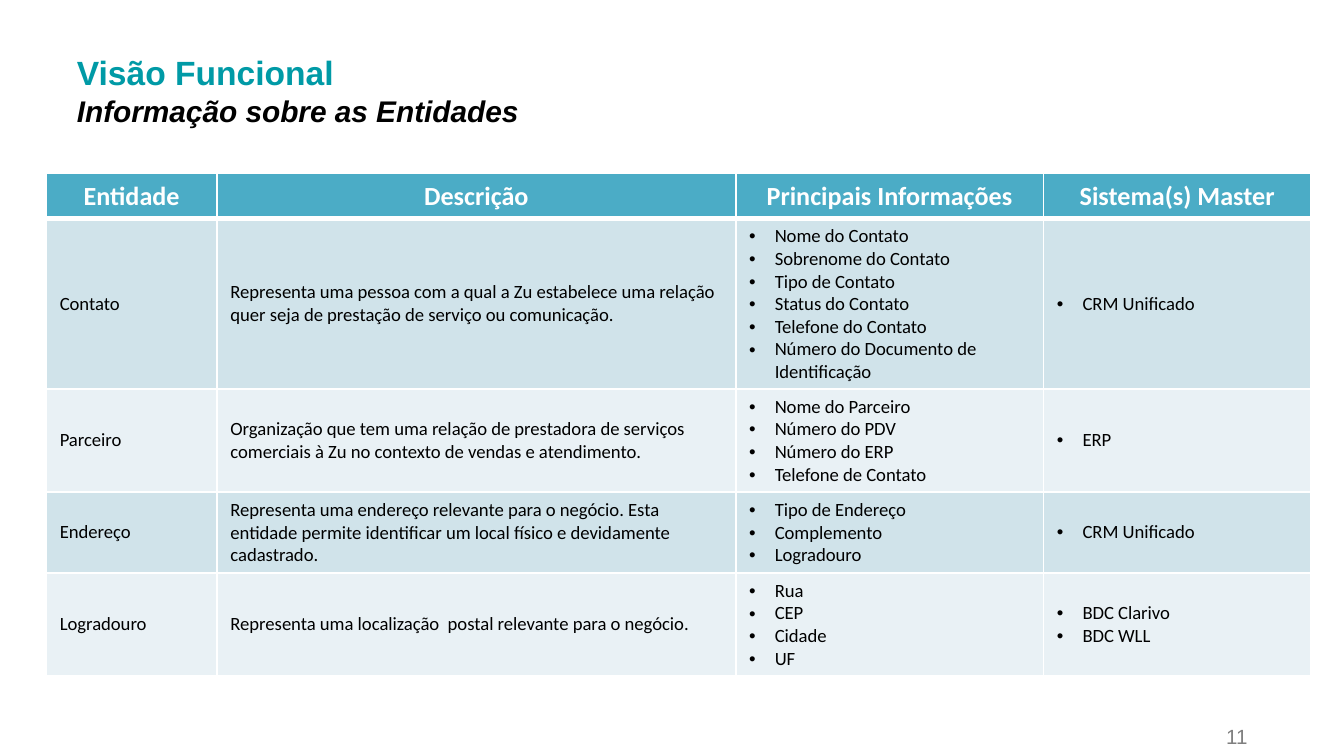
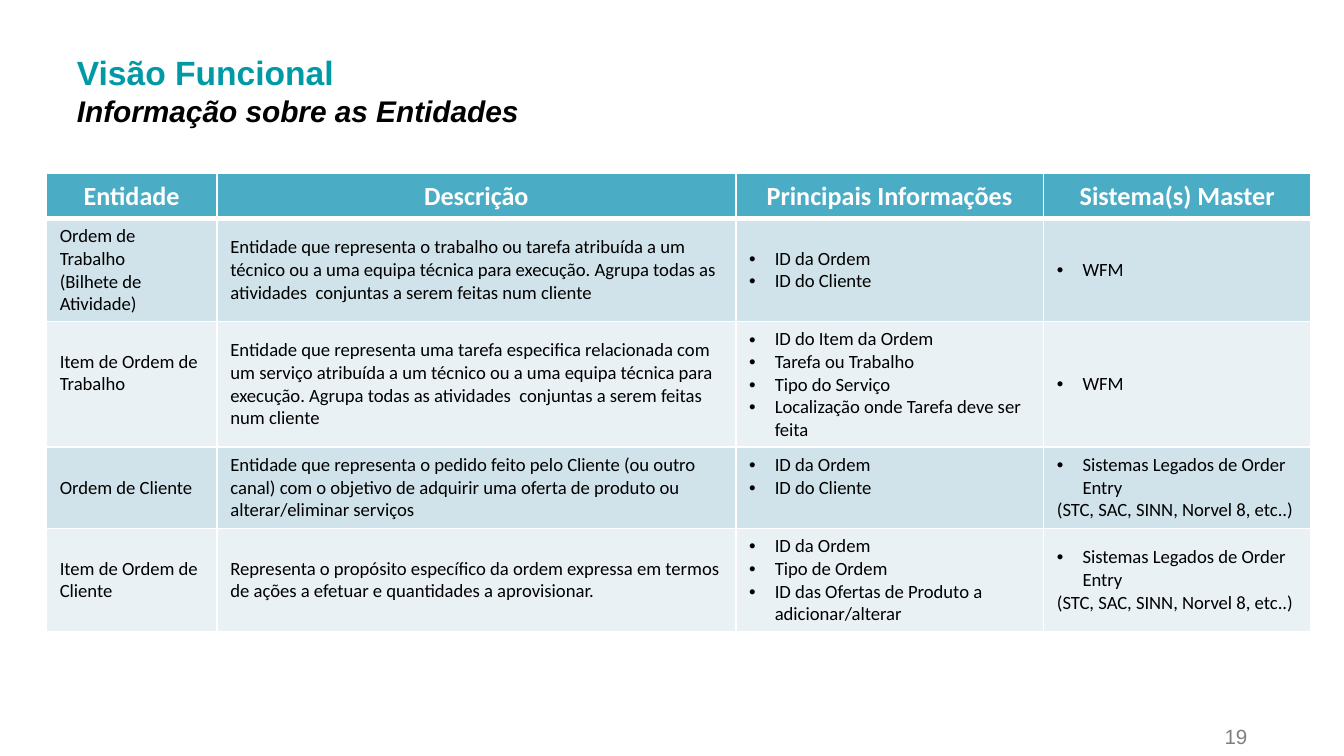
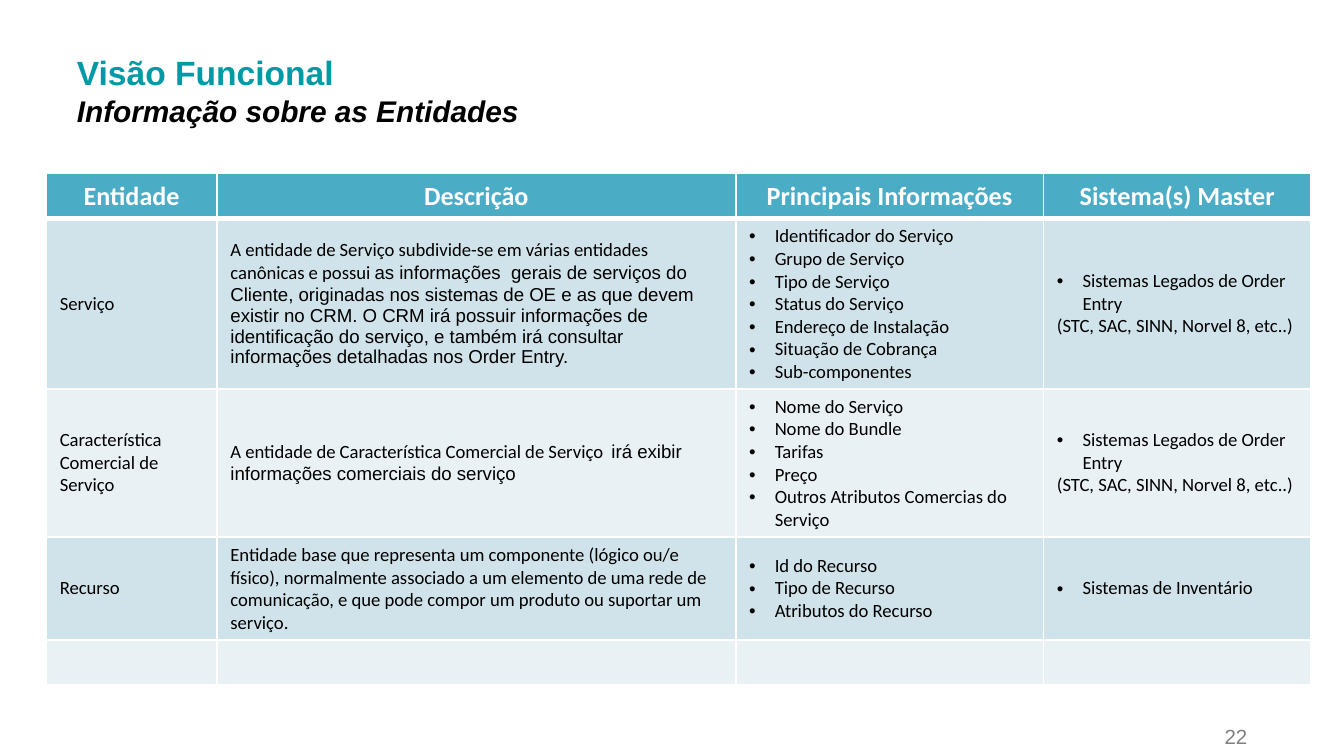
"""Build three slides that describe the entities of the functional view."""
from dataclasses import dataclass

import pptx
import pptx.dml.color
import pptx.enum.text
import pptx.oxml.ns
import pptx.util
from lxml import etree

WIDTH = 10
HEIGHT = WIDTH * 9 / 16
WHITE, BLACK, GREY = "FFFFFF", "000000", "808080"
TEAL, BLUE = "009AA6", "4BACC6"
BANDS = ("D0E3EA", "E9F1F5")

ALIGN = pptx.enum.text.PP_ALIGN
ANCHOR = pptx.enum.text.MSO_ANCHOR

HEAD = {"name": "Calibri", "size": 14, "bold": True, "color": WHITE}
BODY = {"name": "Calibri", "size": 10, "bold": False, "color": BLACK}
ALT = {**BODY, "name": "Arial"}
TITLE = {"name": "Arial", "size": 18, "bold": True, "color": TEAL}
SUB = {**TITLE, "size": 16, "italic": True, "color": BLACK}
PAGE = {"name": "Arial", "size": 11, "color": GREY}

LABELS = ("Entidade", "Descrição", "Principais Informações", "Sistema(s) Master")
COLS = (12.7, 38.6, 22.9, 19.9)
LINE, PAD, TOP = 3.02, 1.42, 5.87
LISTS = (2, 3)
LEGACY = "Sistemas Legados de Order Entry\n(STC, SAC, SINN, Norvel 8, etc..)"


@dataclass
class Box:
    """Hold a place on a grid of 100 columns and 100 rows."""
    left: float
    top: float
    width: float
    height: float


@dataclass
class Row:
    """Hold one entity, its height in lines and the cells set one line higher."""
    lines: float
    cells: tuple[str, ...] = ("", "", "", "")
    raised: tuple[int, ...] = ()


@dataclass
class Sheet:
    """Hold the page number and the rows of one slide."""
    page: int
    rows: tuple[Row, ...]


SHEETS = (
    Sheet(11, (
        Row(7, ("Contato",
                "Representa uma pessoa com a qual a Zu estabelece uma relação quer seja de "
                "prestação de serviço ou comunicação.",
                "Nome do Contato\nSobrenome do Contato\nTipo de Contato\nStatus do Contato\n"
                "Telefone do Contato\nNúmero do Documento de Identificação",
                "CRM Unificado")),
        Row(4, ("Parceiro",
                "Organização que tem uma relação de prestadora de serviços comerciais à Zu no "
                "contexto de vendas e atendimento.",
                "Nome do Parceiro\nNúmero do PDV\nNúmero do ERP\nTelefone de Contato",
                "ERP")),
        Row(3, ("Endereço",
                "Representa uma endereço relevante para o negócio. Esta entidade permite "
                "identificar um local físico e devidamente cadastrado.",
                "Tipo de Endereço\nComplemento\nLogradouro",
                "CRM Unificado")),
        Row(4, ("Logradouro",
                "Representa uma localização  postal relevante para o negócio.",
                "Rua\nCEP\nCidade\nUF",
                "BDC Clarivo\nBDC WLL")),
    )),
    Sheet(19, (
        Row(4, ("Ordem de Trabalho\n(Bilhete de Atividade)",
                "Entidade que representa o trabalho ou tarefa atribuída a um técnico ou a uma "
                "equipa técnica para execução. Agrupa todas as atividades  conjuntas a serem "
                "feitas num cliente",
                "ID da Ordem\nID do Cliente",
                "WFM")),
        Row(5, ("Item de Ordem de Trabalho",
                "Entidade que representa uma tarefa especifica relacionada com um serviço "
                "atribuída a um técnico ou a uma equipa técnica para execução. Agrupa todas as "
                "atividades  conjuntas a serem feitas num cliente",
                "ID do Item da Ordem\nTarefa ou Trabalho\nTipo do Serviço\n"
                "Localização onde Tarefa deve ser feita",
                "WFM"), raised=(0,)),
        Row(3, ("Ordem de Cliente",
                "Entidade que representa o pedido feito pelo Cliente (ou outro canal) com o "
                "objetivo de adquirir uma oferta de produto ou alterar/eliminar serviços",
                "ID da Ordem\nID do Cliente",
                LEGACY), raised=(2,)),
        Row(4, ("Item de Ordem de Cliente",
                "Representa o propósito específico da ordem expressa em termos de ações a "
                "efetuar e quantidades a aprovisionar.",
                "ID da Ordem\nTipo de Ordem\nID das Ofertas de Produto a adicionar/alterar",
                LEGACY)),
    )),
    Sheet(22, (
        Row(7, ("Serviço",
                "A entidade de Serviço subdivide-se em várias entidades  canônicas e possui "
                "|as informações  gerais de serviços do Cliente, originadas nos sistemas de OE "
                "e as que devem existir no CRM. O CRM irá possuir informações de identificação "
                "do serviço, e também irá consultar informações detalhadas nos Order Entry.",
                "Identificador do Serviço\nGrupo de Serviço\nTipo de Serviço\n"
                "Status do Serviço\nEndereço de Instalação\nSituação de Cobrança\n"
                "Sub-componentes",
                LEGACY)),
        Row(6, ("Característica Comercial de Serviço",
                "A entidade de Característica Comercial de Serviço  "
                "|irá exibir informações comerciais do serviço",
                "Nome do Serviço\nNome do Bundle\nTarifas\nPreço\n"
                "Outros Atributos Comercias do Serviço",
                LEGACY)),
        Row(4, ("Recurso",
                "Entidade base que representa um componente (lógico ou/e físico), normalmente "
                "associado a um elemento de uma rede de comunicação, e que pode compor um "
                "produto ou suportar um serviço.",
                "Id do Recurso\nTipo de Recurso\nAtributos do Recurso",
                "Sistemas de Inventário")),
        Row(1.5),
    )),
)


def across(cols: float) -> int:
    """Turn grid columns into a length."""
    return pptx.util.Inches(cols * WIDTH / 100)


def down(rows: float) -> int:
    """Turn grid rows into a length."""
    return pptx.util.Inches(rows * HEIGHT / 100)


def place(box: Box) -> tuple[int, int, int, int]:
    """Turn a box into left, top, width and height."""
    return across(box.left), down(box.top), across(box.width), down(box.height)


def paint(color: str) -> pptx.dml.color.RGBColor:
    """Turn a hex string into a colour."""
    return pptx.dml.color.RGBColor.from_string(color)


def child(parent, tag: str, **values: str):
    """Add a drawing element with its attributes."""
    return etree.SubElement(parent, pptx.oxml.ns.qn(f"a:{tag}"), values)


def write(para, text: str, form: dict) -> None:
    """Add a formatted run to a paragraph."""
    run = para.add_run()
    run.text = text
    for key, value in form.items():
        if key == "color":
            run.font.color.rgb = paint(value)
        elif key == "size":
            run.font.size = pptx.util.Pt(value)
        else:
            setattr(run.font, key, value)


def bullet(para) -> None:
    """Give a paragraph a hanging bullet."""
    props = para._p.get_or_add_pPr()
    indent = pptx.util.Inches(0.19)
    props.set("marL", str(indent))
    props.set("indent", str(-indent))
    child(props, "buFont", typeface="Arial")
    child(props, "buChar", char="•")


def frame(cell, color: str, top: int, bottom: int) -> None:
    """Draw the white borders of a cell and fill it."""
    props = cell._tc.get_or_add_tcPr()
    for side, points in {"L": 1, "R": 1, "T": top, "B": bottom}.items():
        edge = child(props, f"ln{side}", w=str(pptx.util.Pt(points)))
        child(child(edge, "solidFill"), "srgbClr", val=WHITE)
    cell.fill.solid()
    cell.fill.fore_color.rgb = paint(color)
    cell.vertical_anchor = ANCHOR.MIDDLE


def fill(cell, text: str, listed: bool) -> None:
    """Write the paragraphs of a body cell."""
    for index, line in enumerate(text.split("\n")):
        para = cell.text_frame.paragraphs[0] if index == 0 else cell.text_frame.add_paragraph()
        if not line:
            child(para._p, "endParaRPr", sz=str(BODY["size"] * 100))
            continue
        if listed and not line.startswith("("):
            bullet(para)
        for part, form in zip(line.split("|"), (BODY, ALT)):
            write(para, part, form)


def grid(slide, rows: tuple[Row, ...]) -> None:
    """Draw the table of entities."""
    heights = [TOP] + [row.lines * LINE + PAD for row in rows]
    box = Box(3.45, 22.95, sum(COLS), sum(heights))
    table = slide.shapes.add_table(len(heights), len(COLS), *place(box)).table
    table.horz_banding = False
    for column, width in zip(table.columns, COLS):
        column.width = across(width)
    for line, height in zip(table.rows, heights):
        line.height = down(height)
    for col, label in enumerate(LABELS):
        cell = table.cell(0, col)
        frame(cell, BLUE, 1, 3)
        para = cell.text_frame.paragraphs[0]
        para.alignment = ALIGN.CENTER
        write(para, label, HEAD)
    for index, row in enumerate(rows):
        for col, text in enumerate(row.cells):
            cell = table.cell(index + 1, col)
            frame(cell, BANDS[index % 2], 1 if index else 3, 1)
            fill(cell, text, col in LISTS)
            if col in row.raised:
                cell.margin_bottom += down(LINE)


def label(slide, box: Box):
    """Add a wrapping text box and return its text frame."""
    text = slide.shapes.add_textbox(*place(box)).text_frame
    text.word_wrap = True
    return text


def build(deck, sheet: Sheet) -> None:
    """Draw one slide."""
    slide = deck.slides.add_slide(deck.slide_layouts[6])
    foot = label(slide, Box(84.6, 94.7, 9.2, 5.16))
    foot.vertical_anchor = ANCHOR.BOTTOM
    para = foot.paragraphs[0]
    para.alignment = ALIGN.RIGHT
    para.line_spacing = 0.8
    write(para, str(sheet.page), PAGE)
    head = label(slide, Box(4.74, 6.05, 74, 11.92))
    write(head.paragraphs[0], "Visão Funcional", TITLE)
    write(head.add_paragraph(), "Informação sobre as Entidades", SUB)
    grid(slide, sheet.rows)


def main() -> None:
    """Build and save the deck."""
    deck = pptx.Presentation()
    deck.slide_width, deck.slide_height = across(100), down(100)
    for sheet in SHEETS:
        build(deck, sheet)
    deck.save("out.pptx")


if __name__ == "__main__":
    main()
